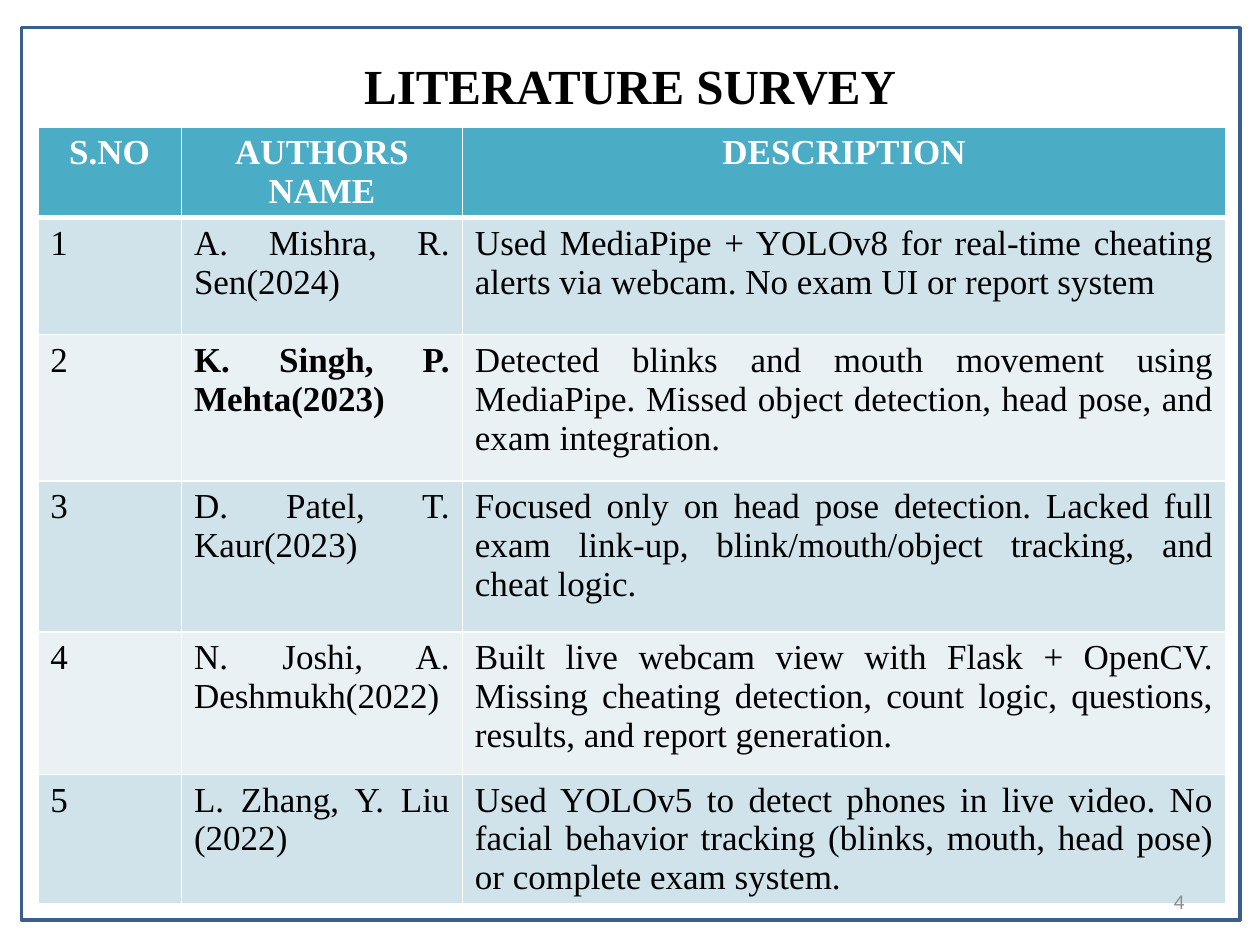
"""Build the literature survey slide with its table of related work."""
from lxml.etree import SubElement
from pptx import Presentation
from pptx.dml.color import RGBColor
from pptx.enum.shapes import MSO_SHAPE
from pptx.enum.text import MSO_ANCHOR, PP_ALIGN
from pptx.oxml.ns import qn
from pptx.util import Inches, Pt

TITLE = "LITERATURE SURVEY"
PAGE_NUMBER = "4"
HEADERS = ("S.NO", "AUTHORS NAME", "DESCRIPTION")
STUDIES = [
    ("A. Mishra, R. Sen(2024)",
     "Used MediaPipe + YOLOv8 for real-time cheating alerts via webcam. "
     "No exam UI or report system"),
    ("K. Singh, P. Mehta(2023)",
     "Detected blinks and mouth movement using MediaPipe. "
     "Missed object detection, head pose, and exam integration."),
    ("D. Patel, T. Kaur(2023)",
     "Focused only on head pose detection. Lacked full exam link-up, "
     "blink/mouth/object tracking, and cheat logic."),
    ("N. Joshi, A. Deshmukh(2022)",
     "Built live webcam view with Flask + OpenCV. Missing cheating detection, "
     "count logic, questions, results, and report generation."),
    ("L. Zhang, Y. Liu (2022)",
     "Used YOLOv5 to detect phones in live video. No facial behavior tracking "
     "(blinks, mouth, head pose) or complete exam system."),
]
BOLD_AUTHORS = {"K. Singh, P. Mehta(2023)"}
COLUMN_WIDTHS = (1.14, 2.23, 6.06)
ROW_HEIGHTS = (0.71, 0.93, 1.16, 1.2, 1.13, 1.02)
THEME = {
    "font": "Times New Roman", "number_font": "Calibri",
    "title_size": 28, "table_size": 20, "number_size": 12,
    "ink": "000000", "light": "FFFFFF", "muted": "8C8C8C", "frame": "3A5F8C",
    "header": "4BACC6", "bands": ("D0E3EA", "E9F1F5"),
}


def color(name):
    """Turn a hex string into a colour."""
    return RGBColor.from_string(name)


def write(text_frame, text, size, ink=THEME["ink"], font=THEME["font"],
          bold=False, align=PP_ALIGN.LEFT):
    """Write one formatted paragraph."""
    text_frame.word_wrap = True
    paragraph = text_frame.paragraphs[0]
    paragraph.alignment = align
    span = paragraph.add_run()
    span.text = text
    span.font.name, span.font.size, span.font.bold = font, Pt(size), bold
    span.font.color.rgb = color(ink)


def add_borders(cell, top, bottom):
    """Draw white cell borders, with widths in points."""
    properties = cell._tc.get_or_add_tcPr()
    for side, width in (("L", 1), ("R", 1), ("T", top), ("B", bottom)):
        line = SubElement(properties, qn(f"a:ln{side}"), w=str(Pt(width)))
        fill = SubElement(line, qn("a:solidFill"))
        SubElement(fill, qn("a:srgbClr"), val=THEME["light"])


def add_survey_table(page):
    """Add the header row and one banded row per study."""
    rows = [HEADERS] + [(str(number), *study) for number, study in enumerate(STUDIES, 1)]
    table = page.shapes.add_table(
        len(rows), len(HEADERS), Inches(0.3), Inches(1.01),
        Inches(sum(COLUMN_WIDTHS)), Inches(sum(ROW_HEIGHTS))).table
    for column, width in zip(table.columns, COLUMN_WIDTHS):
        column.width = Inches(width)
    for row, height in zip(table.rows, ROW_HEIGHTS):
        row.height = Inches(height)
    for row_index, values in enumerate(rows):
        header = row_index == 0
        background = THEME["header"] if header else THEME["bands"][(row_index - 1) % 2]
        for column_index, text in enumerate(values):
            cell = table.cell(row_index, column_index)
            add_borders(cell, top=3 if row_index == 1 else 1, bottom=3 if header else 1)
            cell.fill.solid()
            cell.fill.fore_color.rgb = color(background)
            write(cell.text_frame, text, THEME["table_size"],
                  ink=THEME["light"] if header else THEME["ink"],
                  bold=header or text in BOLD_AUTHORS,
                  align=PP_ALIGN.CENTER if header else PP_ALIGN.JUSTIFY)


def main():
    """Build and save the deck."""
    deck = Presentation()
    deck.slide_width, deck.slide_height = Inches(10), Inches(7.5)
    page = deck.slides.add_slide(deck.slide_layouts[5])

    title = page.shapes.title
    title.left, title.top, title.width, title.height = map(Inches, (0.5, 0.42, 9, 0.5))
    title.text_frame.vertical_anchor = MSO_ANCHOR.MIDDLE
    write(title.text_frame, TITLE, THEME["title_size"], bold=True, align=PP_ALIGN.CENTER)

    add_survey_table(page)

    number_box = page.shapes.add_textbox(*map(Inches, (7.17, 6.95, 2.33, 0.4)))
    number_box.text_frame.vertical_anchor = MSO_ANCHOR.MIDDLE
    write(number_box.text_frame, PAGE_NUMBER, THEME["number_size"], ink=THEME["muted"],
          font=THEME["number_font"], align=PP_ALIGN.RIGHT)

    frame = page.shapes.add_shape(MSO_SHAPE.RECTANGLE, *map(Inches, (0.17, 0.22, 9.67, 7.08)))
    frame.shadow.inherit = False
    frame.fill.background()
    frame.line.color.rgb = color(THEME["frame"])
    frame.line.width = Pt(2)

    deck.save("out.pptx")


if __name__ == "__main__":
    main()
